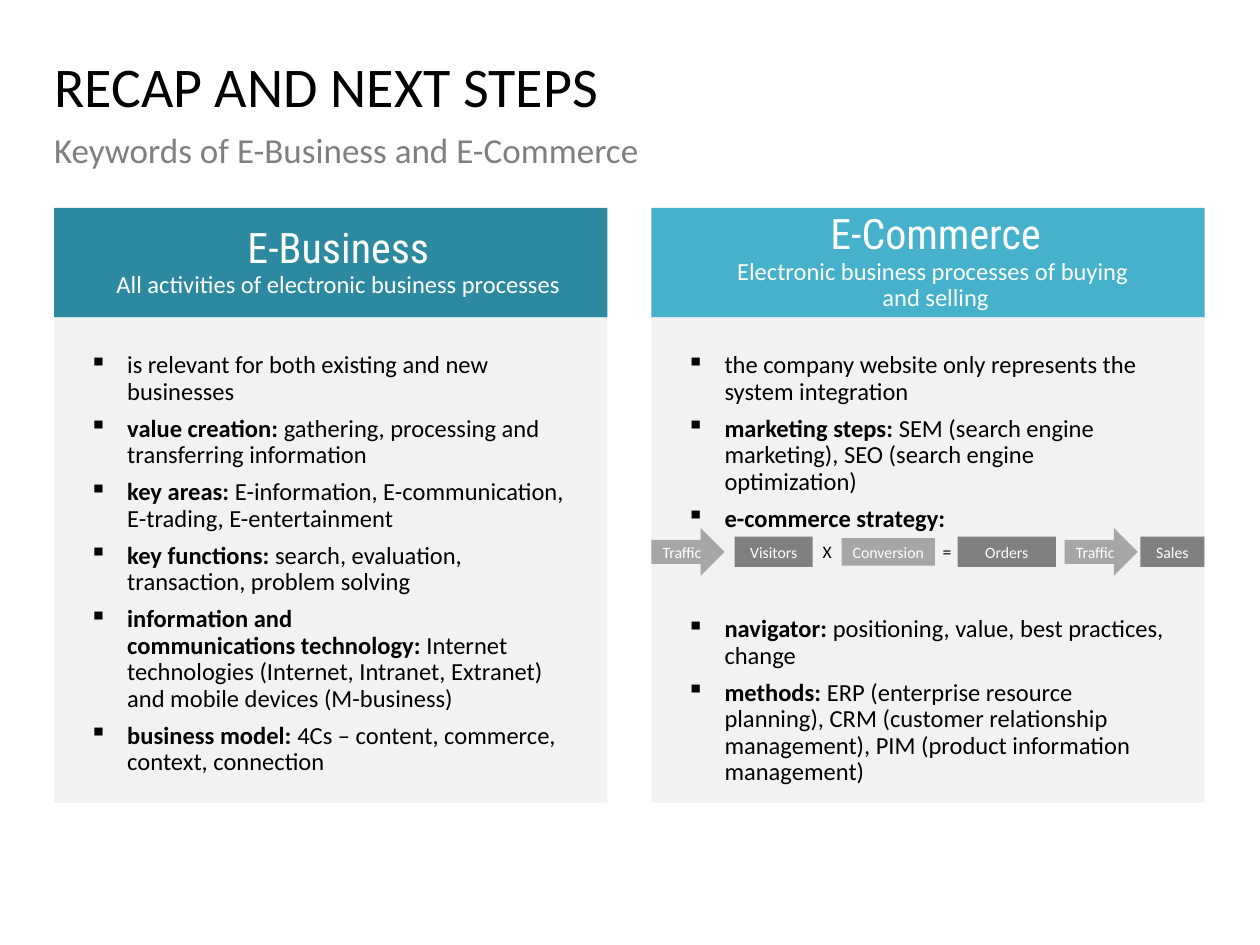
import pptx
import pptx.dml.color
import pptx.enum.shapes
import pptx.enum.text
import pptx.oxml
import pptx.util
from lxml import etree

Inches, Pt = pptx.util.Inches, pptx.util.Pt
Shape = pptx.enum.shapes.MSO_SHAPE
Align = pptx.enum.text.PP_ALIGN
Anchor = pptx.enum.text.MSO_ANCHOR
DRAWING = "http://schemas.openxmlformats.org/drawingml/2006/main"

MARGIN, COLUMN_WIDTH, COLUMN_STEP = 0.43, 4.39, 4.74
HEAD_TOP, HEAD_HEIGHT, BODY_HEIGHT = 1.65, 0.87, 3.85
TITLE_TOP, SUBTITLE_TOP = 0.47, 1.06
FLOW_MIDDLE = 4.38
STRATEGY_GAP = 42  # points kept free for the strategy flow

COLUMNS = [
    ("E-Business", "All activities of electronic business processes", "2D899F", [
        ("", "is relevant for both existing and new businesses", 0),
        ("value creation: ", "gathering, processing and transferring information", 0),
        ("key areas: ", "E-information, E-communication, E-trading, E-entertainment", 0),
        ("key functions: ", "search, evaluation, transaction, problem solving", 0),
        ("information and \vcommunications technology: ",
         "Internet technologies (Internet, Intranet, Extranet) "
         "and mobile devices (M-business)", 0),
        ("business model: ", "4Cs – content, commerce, context, connection", 0),
    ]),
    ("E-Commerce", "Electronic business processes of buying \vand selling", "45B1CB", [
        ("", "the company website only represents the system integration", 0),
        ("marketing steps: ",
         "SEM (search engine marketing), SEO (search engine optimization)", 0),
        ("e-commerce strategy:", "", 0),
        ("navigator: ", "positioning, value, best practices, change", STRATEGY_GAP),
        ("methods: ",
         "ERP (enterprise resource planning), CRM (customer relationship "
         "management), PIM (product information management)", 0),
    ]),
]

# text, left, width, height, shape, fill
FLOW = [
    ("Traffic", 5.17, 0.58, 0.38, Shape.RIGHT_ARROW, "A6A6A6"),
    ("Visitors", 5.83, 0.62, 0.24, Shape.RECTANGLE, "808080"),
    ("X", 6.45, 0.23, 0.17, None, None),
    ("Conversion", 6.68, 0.74, 0.22, Shape.RECTANGLE, "A6A6A6"),
    ("=", 7.42, 0.19, 0.17, None, None),
    ("Orders", 7.6, 0.78, 0.24, Shape.RECTANGLE, "808080"),
    ("Traffic", 8.45, 0.58, 0.38, Shape.RIGHT_ARROW, "A6A6A6"),
    ("Sales", 9.05, 0.51, 0.24, Shape.RECTANGLE, "808080"),
]

deck = pptx.Presentation()
deck.slide_width, deck.slide_height = Inches(10), Inches(7.5)
page = deck.slides.add_slide(deck.slide_layouts[6])


def add_box(left, top, width, height, kind=None, fill=None,
            insets=(0, 0, 0, 0), anchor=Anchor.TOP):
    """Add a filled shape, or a text box if no kind is given; return its text frame."""
    place = [Inches(value) for value in (left, top, width, height)]
    if kind is None:
        box = page.shapes.add_textbox(*place)
    else:
        box = page.shapes.add_shape(kind, *place)
        box.shadow.inherit = False
        box.fill.solid()
        box.fill.fore_color.rgb = pptx.dml.color.RGBColor.from_string(fill)
        box.line.fill.background()
    frame = box.text_frame
    frame.word_wrap = True
    frame.vertical_anchor = anchor
    (frame.margin_left, frame.margin_top,
     frame.margin_right, frame.margin_bottom) = [Inches(value) for value in insets]
    return frame


def style(para, size, color, font="Calibri", align=Align.LEFT, spacing=0.9, after=0):
    para.alignment = align
    para.line_spacing = spacing
    para.space_after = Pt(after)
    para.font.size = Pt(size)
    para.font.name = font
    para.font.color.rgb = pptx.dml.color.RGBColor.from_string(color)


for text, top, height, size, color in [
    ("RECAP AND NEXT STEPS", TITLE_TOP, SUBTITLE_TOP - TITLE_TOP, 32, "000000"),
    ("Keywords of E-Business and E-Commerce", SUBTITLE_TOP,
     HEAD_TOP - SUBTITLE_TOP, 20, "7F7F7F"),
]:
    para = add_box(MARGIN, top, 10 - 2 * MARGIN, height).paragraphs[0]
    para.text = text
    style(para, size, color)

for column, (name, summary, fill, points) in enumerate(COLUMNS):
    left = MARGIN + column * COLUMN_STEP
    head = add_box(left, HEAD_TOP, COLUMN_WIDTH, HEAD_HEIGHT, Shape.RECTANGLE, fill,
                   (0.28, 0, 0.16, 0), Anchor.MIDDLE)
    head.paragraphs[0].text = name
    style(head.paragraphs[0], 24, "FFFFFF", "Roboto Condensed", Align.CENTER)
    para = head.add_paragraph()
    para.text = summary
    style(para, 14, "FFFFFF", align=Align.CENTER, after=10)

    body = add_box(left, HEAD_TOP + HEAD_HEIGHT, COLUMN_WIDTH, BODY_HEIGHT,
                   Shape.RECTANGLE, "F2F2F2", (0.28,) * 4)
    for number, (keyword, detail, before) in enumerate(points):
        para = body.add_paragraph() if number else body.paragraphs[0]
        properties = para._p.get_or_add_pPr()
        properties.set("marL", str(Inches(0.3)))
        properties.set("indent", str(-Inches(0.3)))
        etree.SubElement(properties, f"{{{DRAWING}}}buChar").set("char", "▪")
        style(para, 14, "000000", after=6)
        if before:
            para.space_before = Pt(before)
        for line, words in enumerate(keyword.split("\v") if keyword else []):
            if line:
                para.add_line_break()
            span = para.add_run()
            span.text = words
            span.font.bold = True
        if detail:
            para.add_run().text = detail

for text, left, width, height, kind, fill in FLOW:
    frame = add_box(left, FLOW_MIDDLE - height / 2, width, height, kind, fill,
                    anchor=Anchor.MIDDLE)
    para = frame.paragraphs[0]
    para.text = text
    style(para, 9 if kind else 10, "FFFFFF" if kind else "000000",
          align=Align.CENTER, spacing=1.0)

deck.save("out.pptx")
